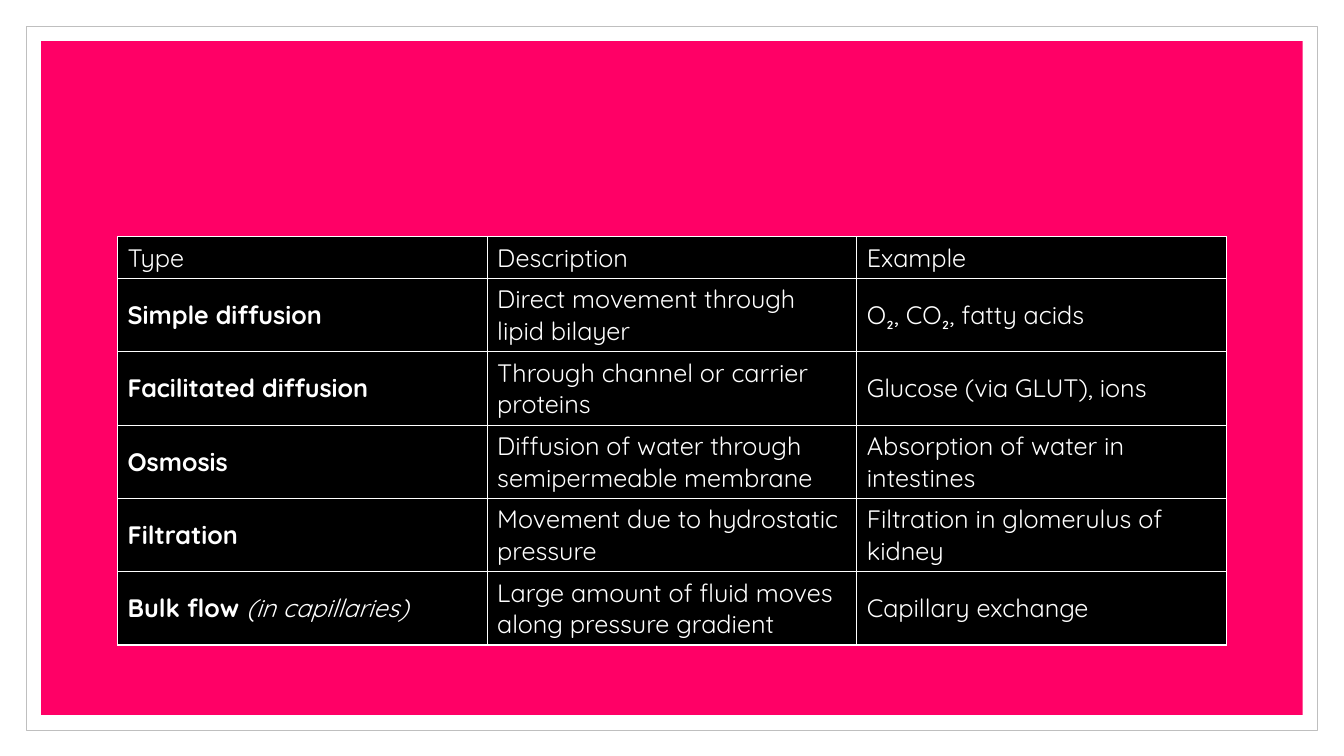
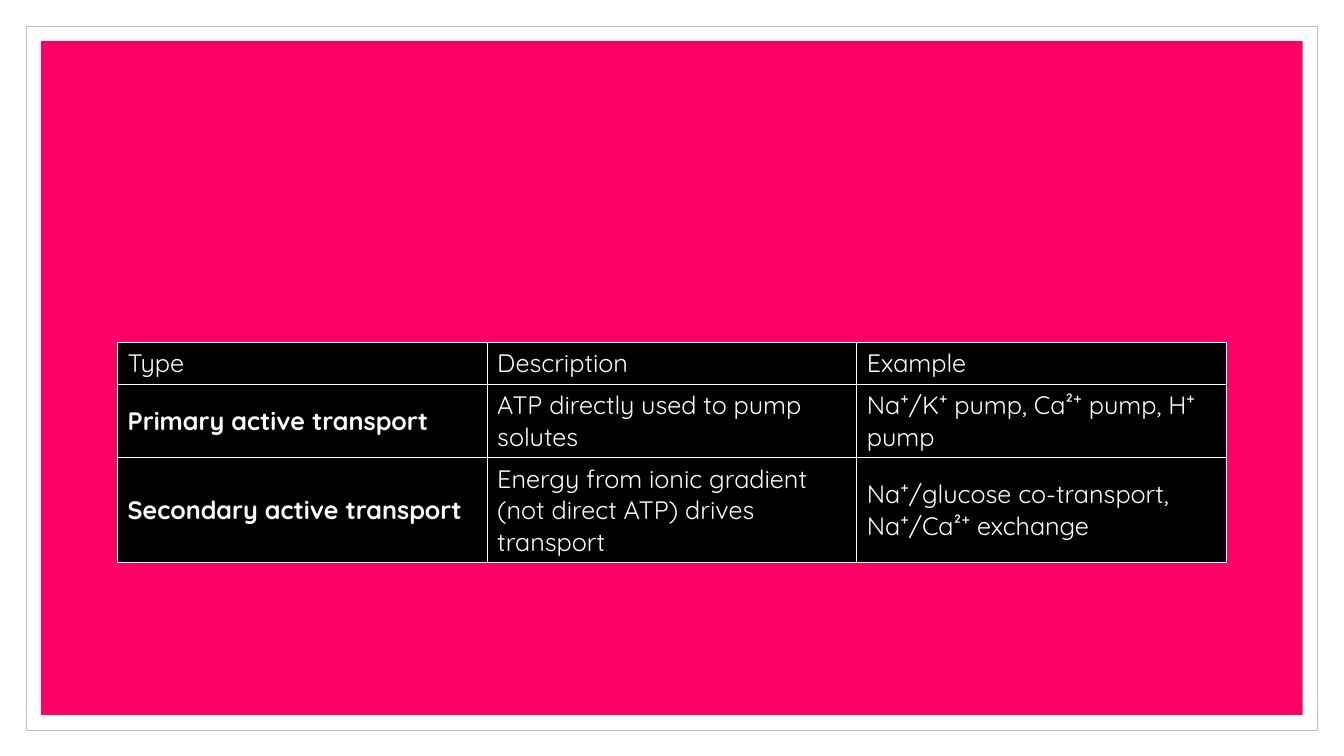
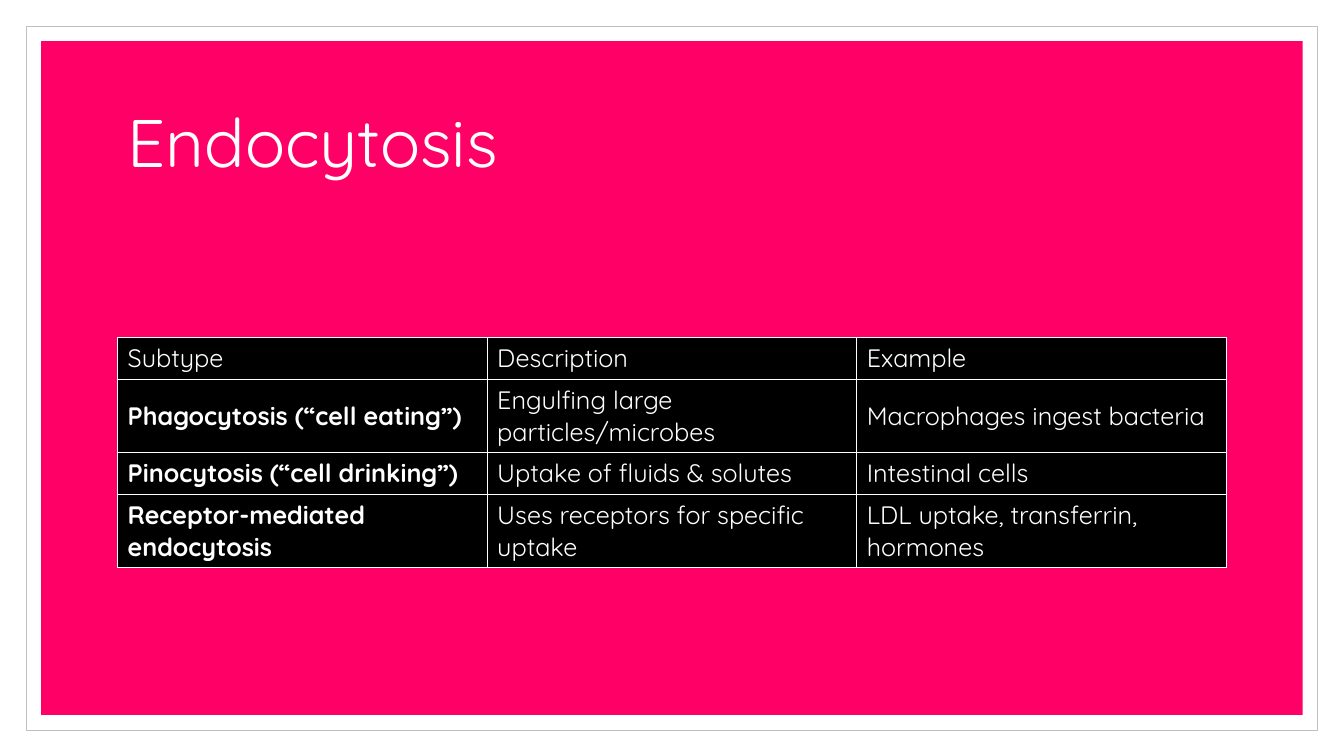
from lxml import etree
from pptx import Presentation
from pptx.dml.color import RGBColor
from pptx.enum.shapes import MSO_SHAPE
from pptx.enum.text import MSO_ANCHOR, MSO_AUTO_SIZE, PP_ALIGN
from pptx.oxml.ns import qn
from pptx.util import Pt

RECTANGLE = MSO_SHAPE.RECTANGLE
MIDDLE = MSO_ANCHOR.MIDDLE
NO_AUTOFIT = MSO_AUTO_SIZE.NONE
LEFT = PP_ALIGN.LEFT

WHITE = RGBColor(0xFF, 0xFF, 0xFF)
BLACK = RGBColor(0x00, 0x00, 0x00)
PINK = RGBColor(0xFF, 0x00, 0x66)
GREY = RGBColor(0xBF, 0xBF, 0xBF)

FONT = "Quicksand"
SLIDE_WIDTH, SLIDE_HEIGHT = 960, 540
TITLE_ONLY_LAYOUT, BLANK_LAYOUT = 5, 6
CONTENT_LEFT, CONTENT_WIDTH = 84, 792
TITLE_TOP, TITLE_HEIGHT = 50.4, 108
LINE_HEIGHT, CELL_PADDING = 22.5, 7.2
FIRST_MASTER_SHAPE_ID = 100


def write_text(paragraph, text, size=18, bold=False, italic=False, color=WHITE):
    run = paragraph.add_run()
    run.text = text
    font = run.font
    font.name, font.size = FONT, Pt(size)
    font.bold, font.italic = bold, italic
    font.color.rgb = color


def set_cell_borders(cell, color=WHITE, width=1):
    properties = cell._tc.get_or_add_tcPr()
    for position, side in enumerate(("lnL", "lnR", "lnT", "lnB")):
        line = etree.Element(qn(f"a:{side}"), w=str(Pt(width)))
        fill = etree.SubElement(line, qn("a:solidFill"))
        etree.SubElement(fill, qn("a:srgbClr"), val=str(color))
        properties.insert(position, line)


class Deck:
    """Holds the presentation, its shared style and the current slide."""

    def __init__(self):
        self.presentation = Presentation()
        self.presentation.slide_width = Pt(SLIDE_WIDTH)
        self.presentation.slide_height = Pt(SLIDE_HEIGHT)
        self.slide = None

    def add_slide(self, title=None):
        layout = TITLE_ONLY_LAYOUT if title else BLANK_LAYOUT
        self.slide = self.presentation.slides.add_slide(
            self.presentation.slide_layouts[layout])
        if title:
            self.add_title(title)

    def add_title(self, text):
        title = self.slide.shapes.title
        title.left, title.top = Pt(CONTENT_LEFT), Pt(TITLE_TOP)
        title.width, title.height = Pt(CONTENT_WIDTH), Pt(TITLE_HEIGHT)
        frame = title.text_frame
        frame.vertical_anchor = MIDDLE
        frame.auto_size = NO_AUTOFIT
        paragraph = frame.paragraphs[0]
        paragraph.alignment = LEFT
        paragraph.line_spacing = 0.9
        write_text(paragraph, text, size=48)

    def add_panel(self, margin, fill, line=None):
        """Draw a rectangle at an equal margin from all slide edges."""
        panel = self.slide.shapes.add_shape(
            RECTANGLE, Pt(margin), Pt(margin),
            Pt(SLIDE_WIDTH - 2 * margin), Pt(SLIDE_HEIGHT - 2 * margin))
        panel.shadow.inherit = False
        panel.fill.solid()
        panel.fill.fore_color.rgb = fill
        if line is None:
            panel.line.fill.background()
        else:
            panel.line.color.rgb = line
            panel.line.width = Pt(0.5)
        return panel

    def add_master_frame(self):
        """Move the frame panels behind everything on the slide master."""
        panels = (self.add_panel(18.6, WHITE, line=GREY),
                  self.add_panel(29.4, PINK))
        master_tree = self.presentation.slide_master.shapes.element
        for index, panel in enumerate(panels):
            panel.element.nvSpPr.cNvPr.id = FIRST_MASTER_SHAPE_ID + index
            master_tree.insert(2 + index, panel.element)

    def add_table(self, top, rows, line_counts):
        """Add a table whose row heights follow the text lines per row."""
        heights = [CELL_PADDING + LINE_HEIGHT * count for count in line_counts]
        column_count = len(rows[0])
        table = self.slide.shapes.add_table(
            len(rows), column_count, Pt(CONTENT_LEFT), Pt(top),
            Pt(CONTENT_WIDTH), Pt(sum(heights))).table
        table.horz_banding = False
        for column in table.columns:
            column.width = Pt(CONTENT_WIDTH / column_count)
        for row_index, (texts, height) in enumerate(zip(rows, heights)):
            table.rows[row_index].height = Pt(height)
            for column_index, text in enumerate(texts):
                is_label = row_index > 0 and column_index == 0
                self.fill_cell(table.cell(row_index, column_index), text, is_label)

    def fill_cell(self, cell, text, bold):
        """Write a cell; text after a bar is an italic note."""
        cell.fill.solid()
        cell.fill.fore_color.rgb = BLACK
        cell.vertical_anchor = MIDDLE
        set_cell_borders(cell)
        paragraph = cell.text_frame.paragraphs[0]
        main_text, _, note = text.partition("|")
        write_text(paragraph, main_text, bold=bold)
        if note:
            write_text(paragraph, note, italic=True)


PASSIVE_TRANSPORT = [
    ("Type", "Description", "Example"),
    ("Simple diffusion", "Direct movement through lipid bilayer",
     "O₂, CO₂, fatty acids"),
    ("Facilitated diffusion", "Through channel or carrier proteins",
     "Glucose (via GLUT), ions"),
    ("Osmosis", "Diffusion of water through semipermeable membrane",
     "Absorption of water in intestines"),
    ("Filtration", "Movement due to hydrostatic pressure",
     "Filtration in glomerulus of kidney"),
    ("Bulk flow |(in capillaries)",
     "Large amount of fluid moves along pressure gradient",
     "Capillary exchange"),
]

ACTIVE_TRANSPORT = [
    ("Type", "Description", "Example"),
    ("Primary active transport", "ATP directly used to pump solutes",
     "Na⁺/K⁺ pump, Ca²⁺ pump, H⁺ pump"),
    ("Secondary active transport",
     "Energy from ionic gradient (not direct ATP) drives transport",
     "Na⁺/glucose co-transport, Na⁺/Ca²⁺ exchange"),
]

ENDOCYTOSIS = [
    ("Subtype", "Description", "Example"),
    ("Phagocytosis (“cell eating”)", "Engulfing large particles/microbes",
     "Macrophages ingest bacteria"),
    ("Pinocytosis (“cell drinking”)", "Uptake of fluids & solutes",
     "Intestinal cells"),
    ("Receptor-mediated endocytosis", "Uses receptors for specific uptake",
     "LDL uptake, transferrin, hormones"),
]


def main():
    deck = Deck()
    deck.add_slide()
    deck.add_master_frame()
    deck.add_table(169.2, PASSIVE_TRANSPORT, line_counts=(1, 2, 2, 2, 2, 2))

    deck.add_slide()
    deck.add_table(244.8, ACTIVE_TRANSPORT, line_counts=(1, 2, 3))

    deck.add_slide("Endocytosis")
    deck.add_table(241.2, ENDOCYTOSIS, line_counts=(1, 2, 1, 2))

    deck.presentation.save("out.pptx")


if __name__ == "__main__":
    main()
